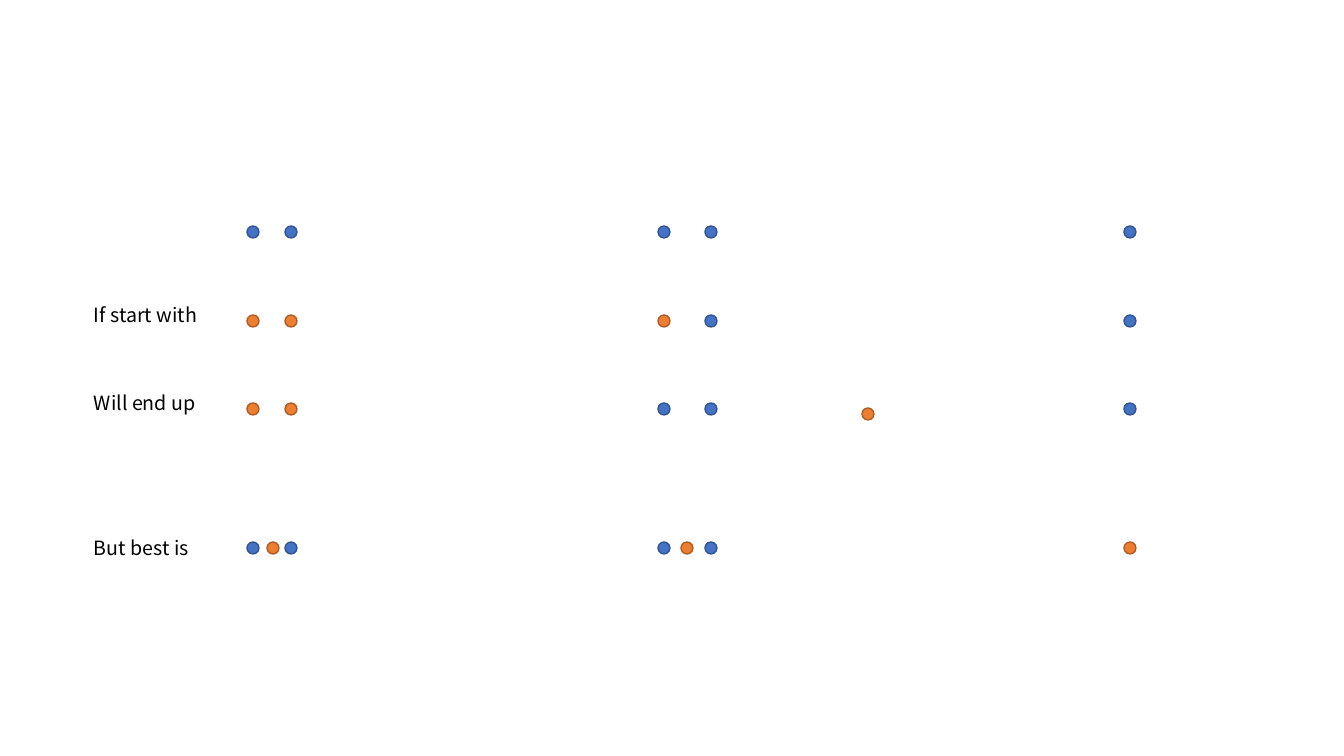
from dataclasses import dataclass

from pptx import Presentation
from pptx.dml.color import RGBColor
from pptx.enum.shapes import MSO_SHAPE
from pptx.enum.text import MSO_ANCHOR, MSO_AUTO_SIZE, PP_ALIGN
from pptx.util import Emu, Pt

OVAL = MSO_SHAPE.OVAL
TOP = MSO_ANCHOR.TOP
GROW = MSO_AUTO_SIZE.SHAPE_TO_FIT_TEXT
LEFT = PP_ALIGN.LEFT
PX = 914400 / 100.8


@dataclass(frozen=True)
class Theme:
    point: tuple = ("4472C4", "325491")
    center: tuple = ("ED7D31", "AF5C24")
    text: str = "000000"
    font: str = "Noto Sans CJK TC"
    size: int = 14
    line: int = 1


THEME = Theme()
DOT = 12
LABEL_W, LABEL_H = 138, 34
POINT_XS = (163, 201, 574, 621, 1040)


def px(*lengths):
    return [Emu(round(n * PX)) for n in lengths]


def add_text(s, text, x, y, w, h, size=THEME.size, color=THEME.text, align=LEFT):
    tf = s.shapes.add_textbox(*px(x, y, w, h)).text_frame
    tf.word_wrap = True
    tf.auto_size = GROW
    tf.vertical_anchor = TOP
    p = tf.paragraphs[0]
    p.alignment = align
    r = p.add_run()
    r.text = text
    r.font.name = THEME.font
    r.font.size = Pt(size)
    r.font.color.rgb = RGBColor.from_string(color)


def add_dot(s, x, y, colors):
    fill, line = colors
    sp = s.shapes.add_shape(OVAL, *px(x, y, DOT, DOT))
    sp.shadow.inherit = False
    sp.fill.solid()
    sp.fill.fore_color.rgb = RGBColor.from_string(fill)
    sp.line.color.rgb = RGBColor.from_string(line)
    sp.line.width = Pt(THEME.line)


def add_row(s, x, y, centers=(), extra=(), label=None, label_dy=0):
    for i, dx in enumerate(POINT_XS):
        add_dot(s, x + dx, y, THEME.center if i in centers else THEME.point)
    for dx, dy in extra:
        add_dot(s, x + dx, y + dy, THEME.center)
    if label:
        add_text(s, label, x, y + label_dy, LABEL_W, LABEL_H)


prs = Presentation()
prs.slide_width, prs.slide_height = px(1344, 756)
s = prs.slides.add_slide(prs.slide_layouts[6])

ROWS = (
    dict(y=226),
    dict(y=315, centers=(0, 1, 2), label="If start with", label_dy=-17),
    dict(y=403, centers=(0, 1), extra=[(778, 5)], label="Will end up", label_dy=-17),
    dict(y=542, centers=(4,), extra=[(183, 0), (597, 0)], label="But best is", label_dy=-11),
)
for row in ROWS:
    add_row(s, 84, **row)

prs.save("out.pptx")
